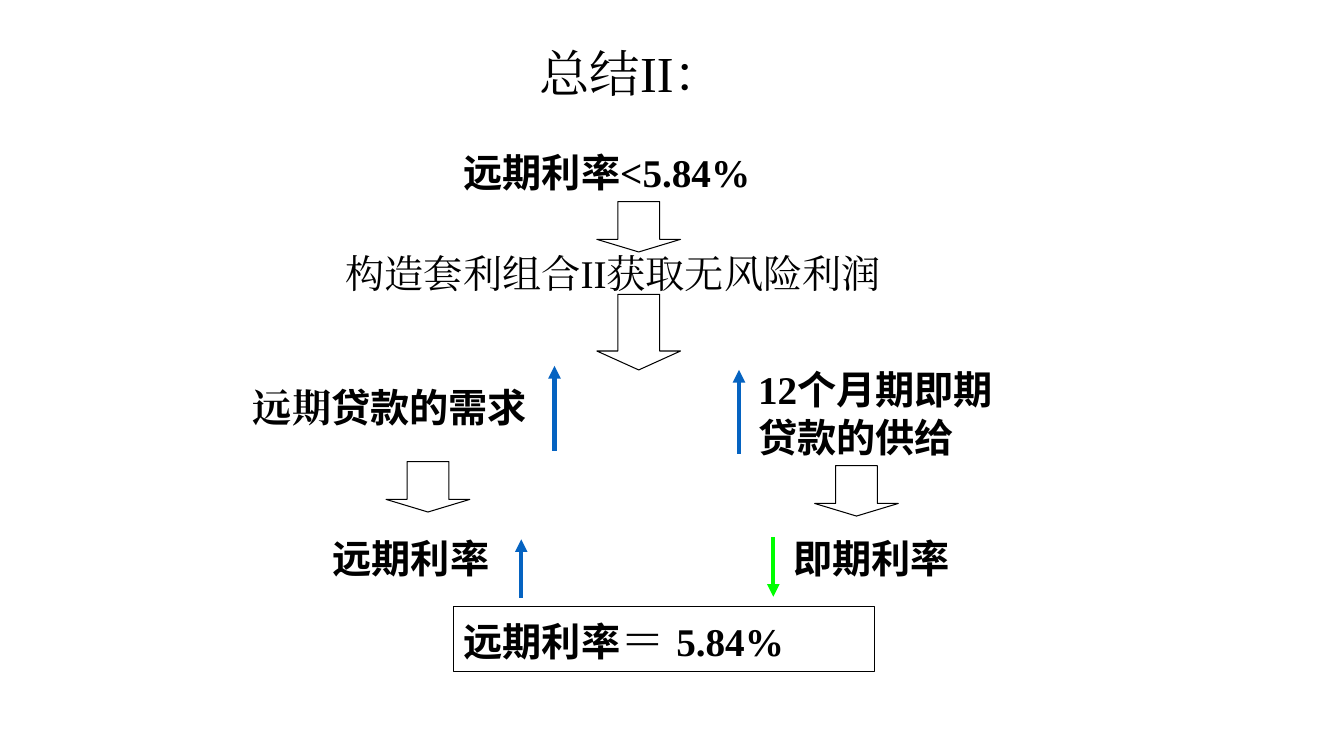
from lxml import etree
from pptx import Presentation
from pptx import util as u
from pptx.dml.color import RGBColor
from pptx.enum import shapes, text
from pptx.oxml import ns

BLACK = RGBColor(0x00, 0x00, 0x00)
WHITE = RGBColor(0xFF, 0xFF, 0xFF)
BLUE = RGBColor(0x05, 0x63, 0xC1)
GREEN = RGBColor(0x00, 0xFF, 0x00)
SERIF = "Times New Roman"
SANS = "Noto Sans CJK SC"


class FlowSlide:
    """Draws the parts of an arbitrage flow on one slide in a common style."""

    def __init__(self, slide):
        self.shapes = slide.shapes
        self.size = 28

    def compose(self, frame, parts, bold=True, size=None):
        frame.word_wrap = True
        paragraph = frame.paragraphs[0]
        paragraph.alignment = text.PP_ALIGN.LEFT
        for wording, font_name, *own_size in parts:
            run = paragraph.add_run()
            run.text = wording
            run.font.name = font_name
            run.font.size = u.Pt(own_size[0] if own_size else size or self.size)
            run.font.bold = bold
            run.font.color.rgb = BLACK
            east_asian = etree.SubElement(run._r.get_or_add_rPr(), ns.qn("a:ea"))
            east_asian.set("typeface", font_name)
        return paragraph

    def label(self, left, top, width, height, parts, bold=True):
        box = self.shapes.add_textbox(*map(u.Inches, (left, top, width, height)))
        self.compose(box.text_frame, parts, bold)

    def title(self, left, top, width, height, wording):
        box = self.shapes.add_textbox(*map(u.Inches, (left, top, width, height)))
        box.text_frame.vertical_anchor = text.MSO_ANCHOR.MIDDLE
        paragraph = self.compose(box.text_frame, [(wording, SERIF)], False, 36)
        paragraph.alignment = text.PP_ALIGN.CENTER
        paragraph.line_spacing = 0.9

    def outline(self, kind, left, top, width, height):
        shape = self.shapes.add_shape(kind, *map(u.Inches, (left, top, width, height)))
        shape.shadow.inherit = False
        shape.line.color.rgb = BLACK
        shape.line.width = u.Pt(0.75)
        return shape

    def step(self, left, top, height=0.5):
        arrow = self.outline(shapes.MSO_SHAPE.DOWN_ARROW, left, top, 0.83, height)
        arrow.adjustments[0] = 0.5
        arrow.adjustments[1] = 0.25
        arrow.fill.solid()
        arrow.fill.fore_color.rgb = WHITE

    def result(self, left, top, width, height, parts):
        box = self.outline(shapes.MSO_SHAPE.RECTANGLE, left, top, width, height)
        box.fill.background()
        box.text_frame.vertical_anchor = text.MSO_ANCHOR.TOP
        self.compose(box.text_frame, parts)

    def trend(self, x, start, end, color):
        arrow = self.shapes.add_connector(
            shapes.MSO_CONNECTOR.STRAIGHT, *map(u.Inches, (x, start, x, end)))
        arrow.line.color.rgb = color
        arrow.line.width = u.Pt(3)
        properties = arrow._element.spPr
        etree.SubElement(properties.find(ns.qn("a:ln")), ns.qn("a:tailEnd"), type="triangle")
        etree.SubElement(properties, ns.qn("a:effectLst"))


def main():
    deck = Presentation()
    deck.slide_width, deck.slide_height = u.Inches(13.33), u.Inches(7.5)
    flow = FlowSlide(deck.slides.add_slide(deck.slide_layouts[6]))

    flow.title(2.18, 0.44, 8.17, 0.64, "总结II：")
    flow.label(4.5, 1.42, 3.75, 0.57, [("远期利率", SANS), ("<5.84%", SERIF)])
    flow.step(5.92, 2)
    flow.label(3.33, 2.42, 6.08, 0.57, [("构造套利组合II获取无风险利润", SERIF)], bold=False)
    flow.step(5.92, 2.92, 0.75)

    flow.label(2.41, 3.75, 3.09, 0.57, [("远期", SERIF), ("贷款的需求", SANS)])
    flow.trend(5.5, 4.47, 3.63, BLUE)
    flow.step(3.83, 4.58)
    flow.label(3.2, 5.25, 1.92, 0.57, [("远期利率", SANS)])
    flow.trend(5.17, 5.93, 5.35, BLUE)

    flow.label(7.42, 3.58, 2.58, 1.03, [("12", SERIF), ("个月期即期贷款的供给", SANS)])
    flow.trend(7.33, 4.5, 3.67, BLUE)
    flow.step(8.08, 4.62)
    flow.label(7.77, 5.25, 1.92, 0.57, [("即期利率", SANS)])
    flow.trend(7.67, 5.33, 5.92, GREEN)

    flow.result(4.5, 6.02, 4.17, 0.64,
                [("远期利率", SANS), ("＝ ", SERIF, 32), ("5.84%", SERIF)])
    deck.save("out.pptx")


if __name__ == "__main__":
    main()
